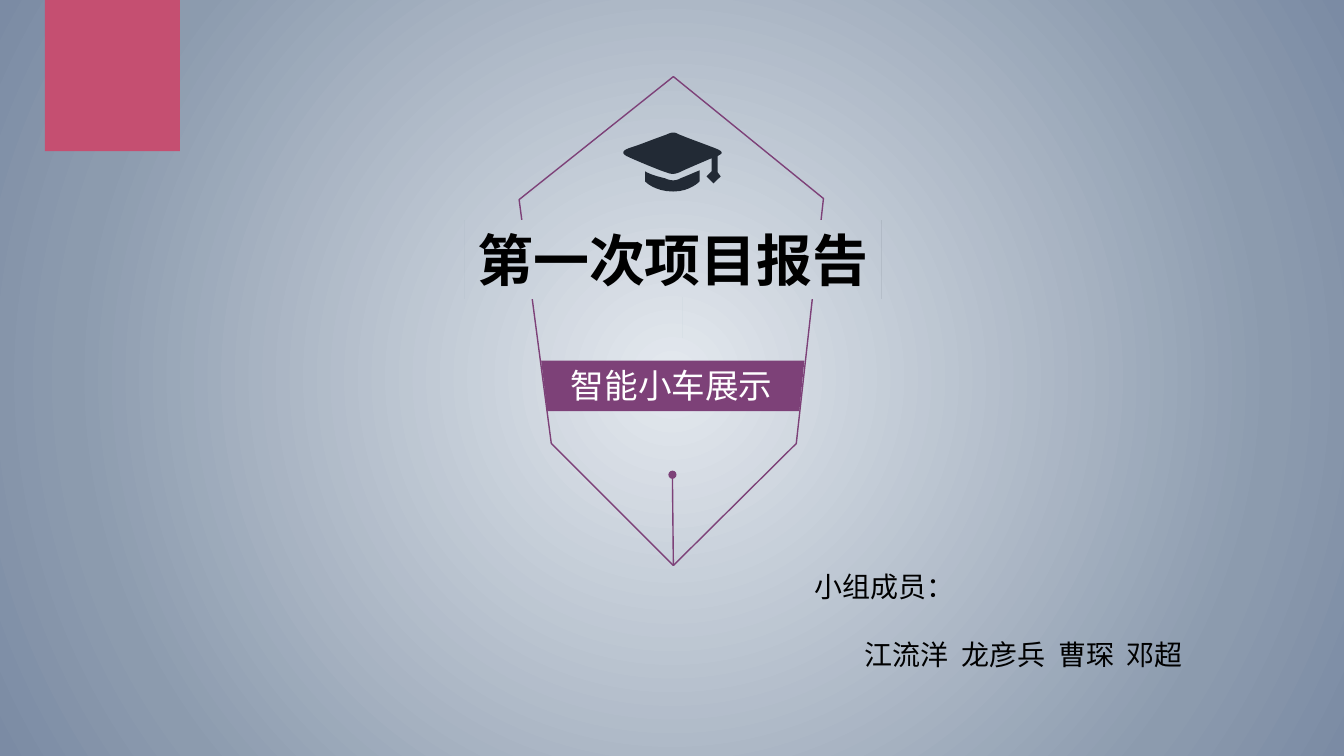
from lxml.etree import SubElement
from pptx import Presentation
from pptx.dml.color import RGBColor
from pptx.enum.shapes import MSO_CONNECTOR, MSO_SHAPE
from pptx.enum.text import MSO_ANCHOR, PP_ALIGN
from pptx.oxml.ns import qn
from pptx.util import Pt

COLORS = {
    "plum": "7D4178", "rose": "C54F71",
    "mist": "E4E9EF", "steel": "8C9BAE", "slate": "7B8BA4",
    "navy": "222A35", "black": "000000", "white": "FFFFFF",
}
BACKDROP = [(0, "mist"), (78, "steel"), (100, "slate")]

HEXAGON = [(0, 87.9), (110.2, 0), (217.4, 87.1), (198, 262.1), (110.2, 349.2), (23, 262.1)]
BAND = [(15.8, 203), (203.8, 203), (200.2, 239), (20.2, 239)]

CAP_BOARD = [
    (69.1, 18), (69.1, 29.5), (71.3, 32.4), (66.2, 37.4), (61.2, 32.4), (64.8, 28.8), (64.8, 19.4),
    ((49.7, 25.9), (44.6, 28.1), (41.8, 29.5)),
    ((38.2, 31), (36, 31), (32.4, 29.5)),
    ((29.5, 28.8), (13.7, 22.3), (5.8, 18.7)),
    ((0.7, 16.6), (0, 14.4), (5.8, 12.2)),
    ((13, 10.1), (25.2, 5), (31.7, 2.9)),
    ((35.3, 1.4), (37.4, 0), (41, 2.2)),
    ((47.5, 5), (61.9, 10.1), (69.1, 13)),
    ((74.9, 15.8), (70.6, 16.6), (69.1, 18)),
]
CAP_BASE = [
    (42.5, 33.8),
    ((46.1, 32.4), (51.1, 30.2), (56.2, 28.1)),
    (56.2, 36),
    ((56.2, 36), (49.7, 43.2), (37.4, 43.2)),
    ((23.8, 43.2), (17.3, 36), (17.3, 36)),
    (17.3, 28.8),
    ((20.9, 31), (25.9, 32.4), (31.7, 33.8)),
    ((34.6, 35.3), (38.9, 36), (42.5, 33.8)),
]


def rgb(name):
    return RGBColor.from_string(COLORS[name])


def set_radial(fill, element, stops):
    fill.gradient()
    grad = element.find(".//" + qn("a:gradFill"))
    for child in list(grad):
        grad.remove(child)
    stop_list = SubElement(grad, qn("a:gsLst"))
    for percent, color in stops:
        stop = SubElement(stop_list, qn("a:gs"), pos=str(percent * 1000))
        SubElement(stop, qn("a:srgbClr"), val=COLORS[color])
    circle = SubElement(grad, qn("a:path"))
    circle.set("path", "circle")
    SubElement(circle, qn("a:fillToRect"), l="50000", t="50000", r="50000", b="50000")


def paint(sp, fill=None, line=None):
    sp.shadow.inherit = False
    if fill:
        sp.fill.solid()
        sp.fill.fore_color.rgb = rgb(fill)
    else:
        sp.fill.background()
    if line:
        sp.line.color.rgb = rgb(line)
        sp.line.width = Pt(1)
    else:
        sp.line.fill.background()


def add_box(s, kind, x, y, w, h, fill=None):
    sp = s.shapes.add_shape(kind, Pt(x), Pt(y), Pt(w), Pt(h))
    paint(sp, fill)
    return sp


def add_mask(s, x, y, w, h):
    sp = add_box(s, MSO_SHAPE.RECTANGLE, x, y, w, h)
    properties = sp._element.spPr
    properties.remove(properties.find(qn("a:noFill")))
    sp._element.set("useBgFill", "1")
    return sp


def add_outline(s, x, y, contours, fill=None, line=None):
    builder = None
    for contour in contours:
        points = [(Pt(x + px), Pt(y + py)) for px, py in contour]
        if builder is None:
            builder = s.shapes.build_freeform(*points[0])
        else:
            builder.move_to(*points[0])
        builder.add_line_segments(points[1:], close=True)
    sp = builder.convert_to_shape()
    paint(sp, fill, line)
    return sp


def flatten(segments, steps=8):
    points = []
    for segment in segments:
        if not isinstance(segment[0], tuple):
            points.append(segment)
            continue
        curve = (points[-1], *segment)
        for i in range(1, steps + 1):
            t = i / steps
            weights = ((1 - t) ** 3, 3 * t * (1 - t) ** 2, 3 * t * t * (1 - t), t ** 3)
            points.append(tuple(sum(k * c[axis] for k, c in zip(weights, curve)) for axis in (0, 1)))
    return points


def write(sp, lines, size, color, bold=False, align=PP_ALIGN.CENTER, wrap=False):
    tf = sp.text_frame
    tf.word_wrap = wrap
    tf.vertical_anchor = MSO_ANCHOR.TOP
    for i, line in enumerate(lines):
        p = tf.add_paragraph() if i else tf.paragraphs[0]
        p.text = line
        p.alignment = align
        p.font.name = "Arial"
        p.font.size = Pt(size)
        p.font.bold = bold
        p.font.color.rgb = rgb(color)
    return tf


def add_text(s, x, y, w, h, lines, size, color, **style):
    sp = s.shapes.add_textbox(Pt(x), Pt(y), Pt(w), Pt(h))
    return write(sp, lines, size, color, **style)


def add_ribbon(s, x, y, w, h):
    add_box(s, MSO_SHAPE.RECTANGLE, x, y, w, h, "rose")


def add_cap(s, x, y):
    add_outline(s, x, y, [flatten(CAP_BOARD), flatten(CAP_BASE)], "navy")


def add_emblem(s, x, y, w, h):
    add_outline(s, x, y, [HEXAGON], line="plum")
    add_outline(s, x, y, [BAND], "plum")
    add_text(s, x + 29, y + 202.3, 160, 36, ["智能小车展示"], 24, "white")
    title = add_mask(s, x - 38.8, y + 103, w + 80, 55.4)
    write(title, ["第一次项目报告"], 40, "black", bold=True)
    add_mask(s, x + 102.2, y + 157.7, 14.4, 28.8)
    stem = s.shapes.add_connector(
        MSO_CONNECTOR.STRAIGHT, Pt(x + 110.2), Pt(y + h), Pt(x + 109.5), Pt(y + 283))
    stem.line.color.rgb = rgb("plum")
    stem.line.width = Pt(1)
    SubElement(stem._element.spPr, qn("a:effectLst"))
    add_box(s, MSO_SHAPE.OVAL, x + 106.6, y + 281.5, 5.8, 5.8, "plum")
    add_cap(s, x + 72.7, y + 38.9)


def add_team(s, x, y, w, h):
    lines = ["小组成员：", "  ".join(["江流洋", "龙彦兵", "曹琛", "邓超"])]
    tf = add_text(s, x, y, w, h, lines, 20, "black", align=PP_ALIGN.LEFT, wrap=True)
    names = tf.paragraphs[1]
    names.space_before = Pt(24)
    names._p.get_or_add_pPr().set("marL", str(Pt(36)))


def build_cover(prs):
    s = prs.slides.add_slide(prs.slide_layouts[6])
    set_radial(s.background.fill, s._element, BACKDROP)
    add_ribbon(s, 32, 0, 96.5, 108)
    add_emblem(s, 370.8, 54.7, 217.4, 349.2)
    add_team(s, 574.6, 403.6, 335.5, 80)


def main():
    prs = Presentation()
    prs.slide_width, prs.slide_height = Pt(960), Pt(540)
    build_cover(prs)
    prs.save("out.pptx")


if __name__ == "__main__":
    main()
